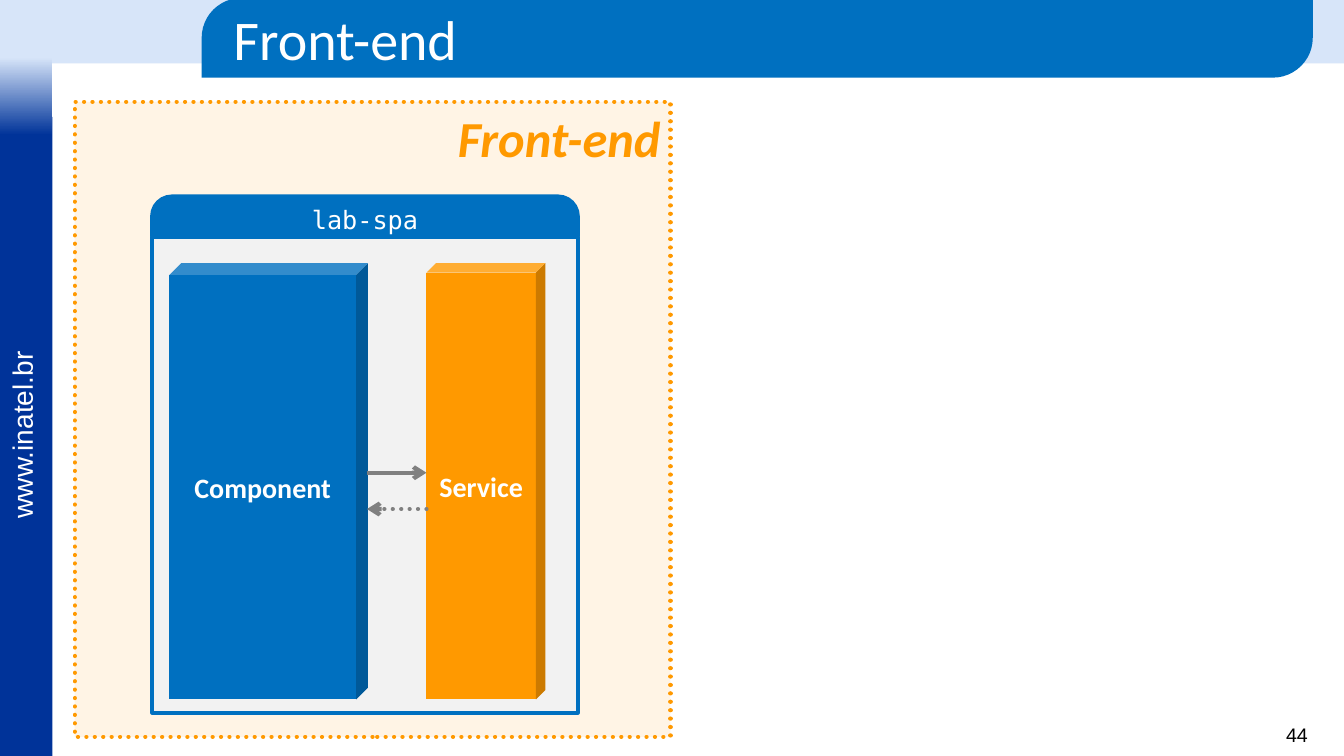
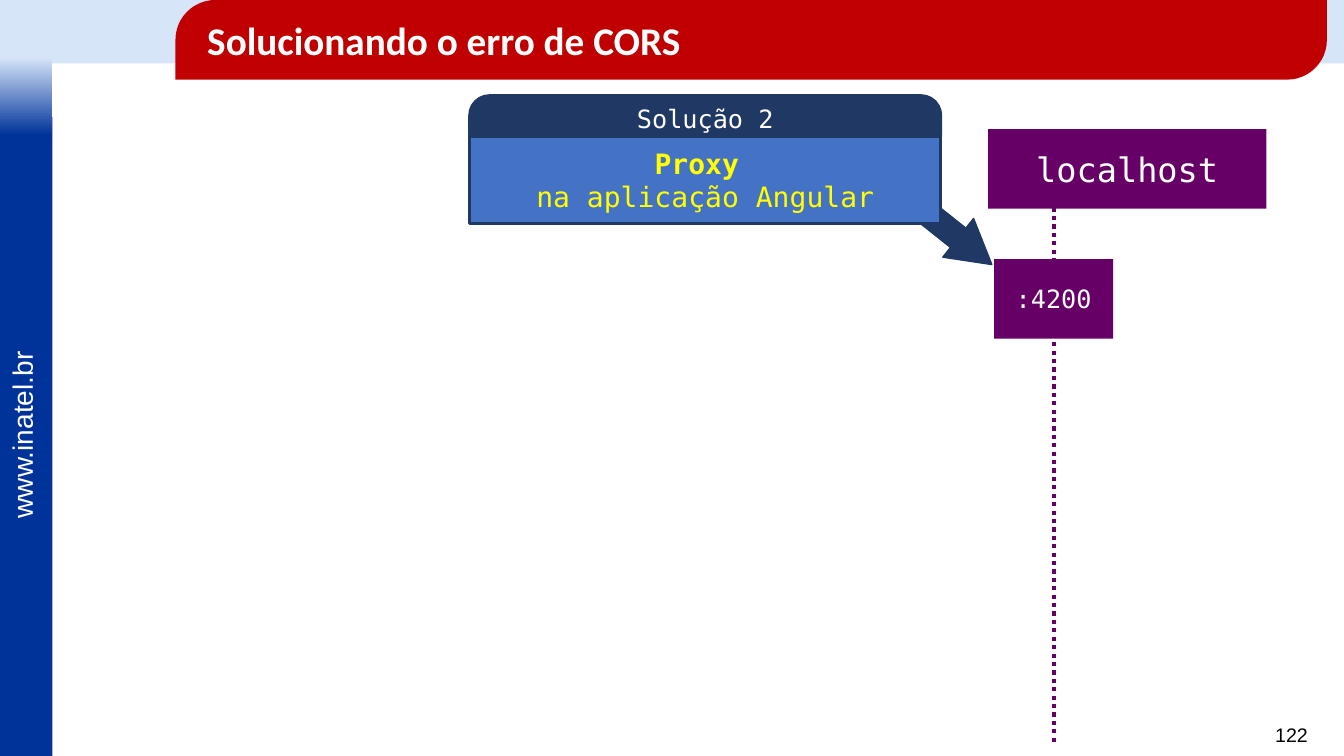
from dataclasses import dataclass, field

from lxml import etree
from pptx import Presentation
from pptx.dml.color import RGBColor
from pptx.enum.dml import MSO_LINE
from pptx.enum.shapes import MSO_CONNECTOR, MSO_SHAPE
from pptx.enum.text import MSO_ANCHOR, PP_ALIGN
from pptx.oxml.ns import qn
from pptx.util import Inches, Pt

WHITE = RGBColor(0xFF, 0xFF, 0xFF)
BLACK = RGBColor(0x00, 0x00, 0x00)
PALE_BLUE = RGBColor(0xD7, 0xE5, 0xF9)
DEEP_BLUE = RGBColor(0x00, 0x33, 0x99)
BLUE = RGBColor(0x00, 0x70, 0xC0)
MID_BLUE = RGBColor(0x44, 0x72, 0xC4)
NAVY = RGBColor(0x20, 0x38, 0x64)
ORANGE = RGBColor(0xFF, 0x99, 0x00)
RED = RGBColor(0xC0, 0x00, 0x00)
PURPLE = RGBColor(0x66, 0x00, 0x66)
YELLOW = RGBColor(0xFF, 0xFF, 0x00)
GRAY = RGBColor(0x80, 0x80, 0x80)
LIGHT_GRAY = RGBColor(0xF2, 0xF2, 0xF2)

RECTANGLE = MSO_SHAPE.RECTANGLE
ROUNDED = MSO_SHAPE.ROUNDED_RECTANGLE
ROUND_TOP = MSO_SHAPE.ROUND_2_SAME_RECTANGLE
ROUND_DIAGONAL = MSO_SHAPE.ROUND_2_DIAG_RECTANGLE
CUBE = MSO_SHAPE.CUBE
FOLDED = MSO_SHAPE.FOLDED_CORNER
RIGHT_ARROW = MSO_SHAPE.RIGHT_ARROW
STRAIGHT = MSO_CONNECTOR.STRAIGHT
DOTTED = MSO_LINE.ROUND_DOT
LEFT, CENTER, RIGHT = PP_ALIGN.LEFT, PP_ALIGN.CENTER, PP_ALIGN.RIGHT
TOP, MIDDLE = MSO_ANCHOR.TOP, MSO_ANCHOR.MIDDLE

SANS, TITLE, MONO = "Arial", "Calibri", "DejaVu Sans Mono"
WIDTH, HEIGHT = 13.33, 7.5
SIDEBAR_WIDTH = 0.52


@dataclass
class Text:
    lines: list[str]
    font: str
    size: float
    color: RGBColor = WHITE
    styles: list[dict[str, bool]] = field(default_factory=lambda: [{}])
    align: PP_ALIGN = CENTER
    anchor: MSO_ANCHOR = MIDDLE
    left_inset: float = 0.1


@dataclass
class Line:
    color: RGBColor
    width: float
    dotted: bool = False
    round_cap: bool = False
    arrow: bool = False


@dataclass
class Box:
    kind: MSO_SHAPE
    at: tuple[float, float, float, float]
    fill: RGBColor
    adjustments: tuple[float, ...] = ()
    line: Line | None = None
    text: Text | None = None
    rotation: float = 0
    opacity: int = 100


def write_text(shape, text: Text) -> None:
    frame = shape.text_frame
    frame.word_wrap = True
    frame.vertical_anchor = text.anchor
    frame.margin_left = Inches(text.left_inset)
    for index, words in enumerate(text.lines):
        para = frame.paragraphs[0] if index == 0 else frame.add_paragraph()
        para.alignment = text.align
        span = para.add_run()
        span.text = words
        formats = {"name": text.font, "size": Pt(text.size)}
        formats |= text.styles[index % len(text.styles)]
        for name, value in formats.items():
            setattr(span.font, name, value)
        span.font.color.rgb = text.color


def style_line(shape, line: Line) -> None:
    shape.line.color.rgb = line.color
    shape.line.width = Pt(line.width)
    if line.dotted:
        shape.line.dash_style = DOTTED
    outline = shape._element.spPr.find(qn("a:ln"))
    if line.round_cap:
        outline.set("cap", "rnd")
    if line.arrow:
        etree.SubElement(outline, qn("a:tailEnd"), type="arrow")


def adjust(shape, values: tuple[float, ...]) -> None:
    """Write the guides as XML, as some presets list no adjustments."""
    geometry = shape._element.spPr.find(qn("a:prstGeom"))
    for child in list(geometry):
        geometry.remove(child)
    guides = etree.SubElement(geometry, qn("a:avLst"))
    for number, value in enumerate(values, 1):
        name = "adj" if len(values) == 1 else f"adj{number}"
        etree.SubElement(guides, qn("a:gd"), name=name, fmla=f"val {round(value * 100000)}")


def draw_box(page, box: Box):
    shape = page.shapes.add_shape(box.kind, *map(Inches, box.at))
    shape.shadow.inherit = False
    shape.rotation = box.rotation
    if box.adjustments:
        adjust(shape, box.adjustments)
    shape.fill.solid()
    shape.fill.fore_color.rgb = box.fill
    if box.opacity < 100:
        color = shape._element.spPr.find(qn("a:solidFill"))[0]
        etree.SubElement(color, qn("a:alpha"), val=str(box.opacity * 1000))
    if box.line:
        style_line(shape, box.line)
    else:
        shape.line.fill.background()
    if box.text:
        write_text(shape, box.text)
    return shape


def draw_line(page, start: tuple[float, float], end: tuple[float, float], line: Line) -> None:
    connector = page.shapes.add_connector(STRAIGHT, *map(Inches, start + end))
    style_line(connector, line)
    etree.SubElement(connector._element.spPr, qn("a:effectLst"))


def draw_label(page, at: tuple[float, float, float, float], text: Text, rotation: float = 0) -> None:
    label = page.shapes.add_textbox(*map(Inches, at))
    label.rotation = rotation
    write_text(label, text)


def add_page(deck, number: int):
    """Add a slide with the top band, the sidebar and the page number."""
    page = deck.slides.add_slide(deck.slide_layouts[6])
    draw_box(page, Box(RECTANGLE, (0, 0, WIDTH, 0.63), PALE_BLUE))
    draw_box(page, Box(RECTANGLE, (0, 1.16, SIDEBAR_WIDTH, HEIGHT - 1.16), DEEP_BLUE))
    fade = draw_box(page, Box(RECTANGLE, (0, 0.57, SIDEBAR_WIDTH, 0.77), PALE_BLUE))
    fade.fill.gradient()
    fade.fill.gradient_angle = 270
    for stop, color in zip(fade.fill.gradient_stops, (PALE_BLUE, DEEP_BLUE)):
        stop.color.rgb = color
    address = Text(["www.inatel.br"], SANS, 20, align=LEFT, anchor=TOP)
    draw_label(page, (-0.72, 4.09, 1.87, 0.43), address, 270)
    page_number = Text([str(number)], SANS, 14, BLACK, align=RIGHT, anchor=TOP)
    draw_label(page, (12.42, 7.12, 0.65, 0.34), page_number)
    return page


def draw_title(page, words: str, left: float, top: float, width: float,
               fill: RGBColor, size: float, bold: bool = False) -> None:
    text = Text([words], TITLE, size, styles=[{"bold": bold}], align=LEFT, left_inset=0.2)
    draw_box(page, Box(ROUND_DIAGONAL, (left, top, width, 0.79), fill, (0.5, 0), text=text))


def draw_header(page, words: str, left: float, top: float, width: float,
                color: RGBColor, line_width: float) -> None:
    """Draw the round-topped caption of a panel."""
    draw_box(page, Box(ROUND_TOP, (left, top, width, 0.39), color, (0.5, 0),
                       Line(color, line_width), Text([words], MONO, 18)))


def draw_cube(page, words: str, left: float, width: float, depth: float, fill: RGBColor) -> None:
    text = Text([words], TITLE, 20, styles=[{"bold": True}])
    draw_box(page, Box(CUBE, (left, 2.61, width, 4.33), fill, (depth,), text=text))


def draw_host(page, words: str, left: float, top: float, width: float, size: float) -> None:
    draw_box(page, Box(ROUNDED, (left, top, width, 0.79), PURPLE, (0,),
                       text=Text([words], MONO, size)))


def build_front_end(deck) -> None:
    page = add_page(deck, 44)
    area_text = Text(["Front-end"], TITLE, 36, ORANGE, [{"bold": True, "italic": True}], RIGHT, TOP)
    draw_box(page, Box(RECTANGLE, (0.74, 1.01, 5.91, 6.3), ORANGE, text=area_text,
                       line=Line(ORANGE, 3, dotted=True, round_cap=True), opacity=10))
    panel_left, panel_width = 1.51, 4.22
    draw_box(page, Box(RECTANGLE, (panel_left, 2.35, panel_width, 4.72), LIGHT_GRAY, line=Line(BLUE, 3)))
    draw_cube(page, "Service", 4.23, 1.18, 0.08, ORANGE)
    draw_cube(page, "Component", 1.68, 1.97, 0.06, BLUE)
    draw_header(page, "lab-spa", panel_left, 1.95, panel_width, BLUE, 3)
    draw_title(page, "Front-end", 2, -0.02, 11.02, BLUE, 40)
    component_edge, service_edge = 3.64, 4.23
    draw_line(page, (component_edge, 4.69), (service_edge, 4.69), Line(GRAY, 3, arrow=True))
    draw_line(page, (service_edge, 5.05), (component_edge, 5.05),
              Line(GRAY, 3, dotted=True, round_cap=True, arrow=True))


def build_cors_solution(deck) -> None:
    page = add_page(deck, 122)
    draw_box(page, Box(RIGHT_ARROW, (8.75, 2, 1.22, 0.49), NAVY, (0.5, 0.87),
                       Line(NAVY, 1), rotation=38.5))
    draw_title(page, "Solucionando o erro de CORS", 1.74, 0, 11.42, RED, 28, bold=True)
    draw_host(page, "localhost", 9.8, 1.28, 2.76, 24)
    draw_line(page, (10.45, 2.06), (10.45, 7.4), Line(PURPLE, 3, dotted=True))
    draw_host(page, ":4200", 9.86, 2.57, 1.18, 18)
    panel_left, panel_width = 4.66, 4.67
    solution = Text(["Proxy ", "na aplicação Angular"], MONO, 20, YELLOW,
                    [{"bold": True}, {"bold": False}])
    draw_box(page, Box(FOLDED, (panel_left, 1.35, panel_width, 0.87), MID_BLUE, (0,),
                       Line(NAVY, 2.25), solution))
    draw_header(page, "Solução 2", panel_left, 0.95, panel_width, NAVY, 2.25)


def main() -> None:
    deck = Presentation()
    deck.slide_width, deck.slide_height = Inches(WIDTH), Inches(HEIGHT)
    build_front_end(deck)
    build_cors_solution(deck)
    deck.save("out.pptx")


if __name__ == "__main__":
    main()
